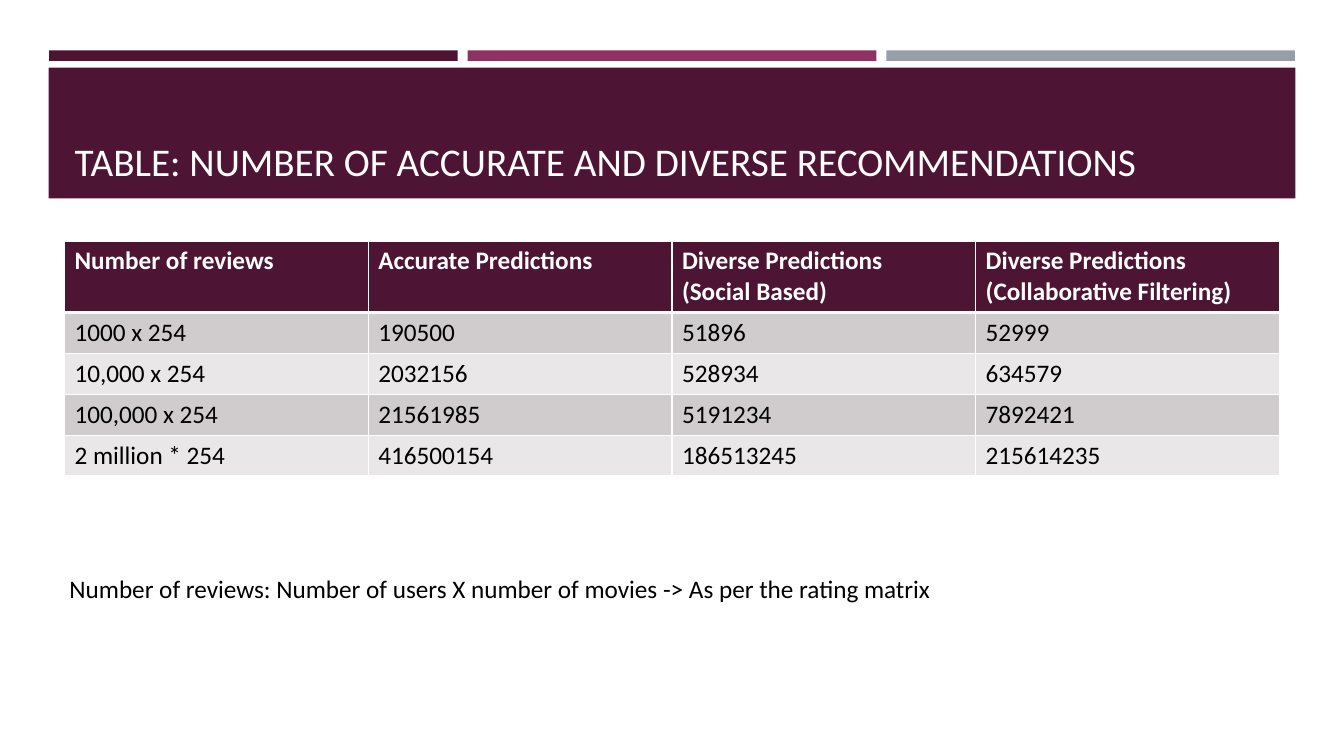
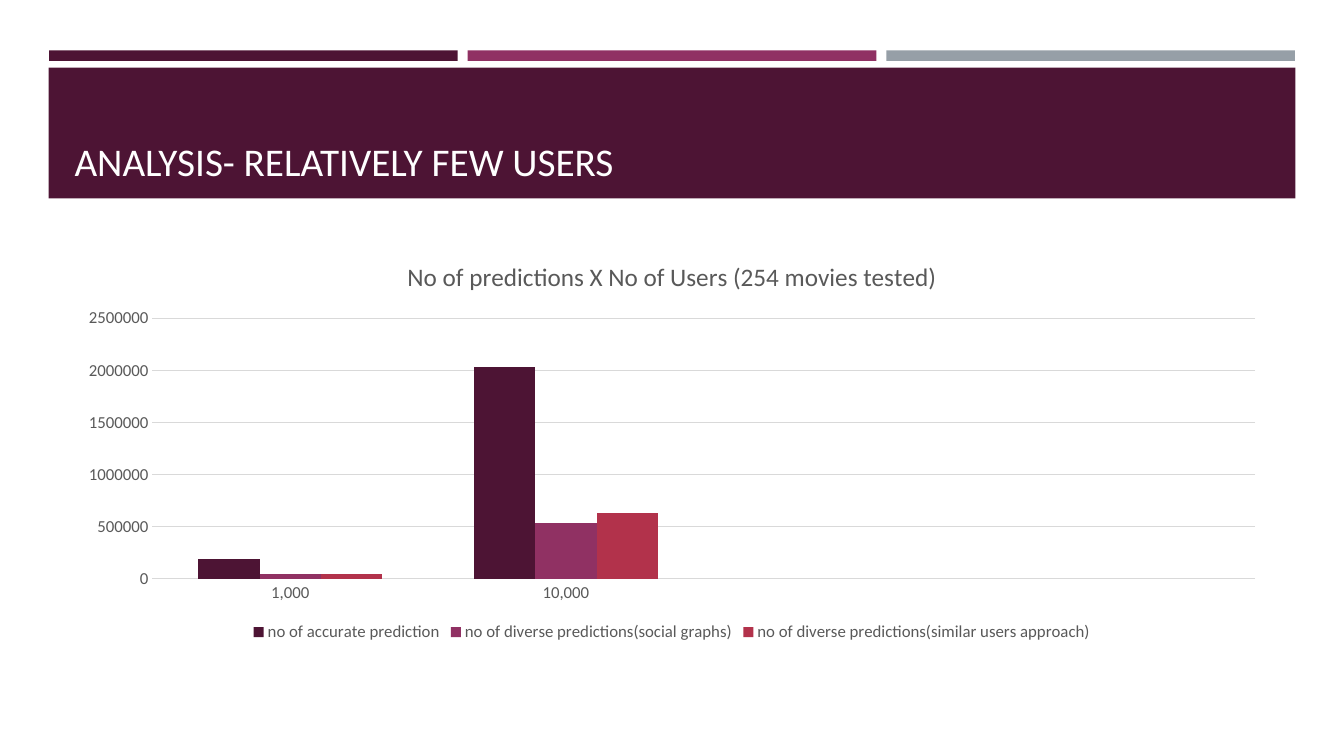
from dataclasses import dataclass

from lxml import etree
from pptx import Presentation
from pptx.chart.data import CategoryChartData
from pptx.dml.color import RGBColor
from pptx.enum.chart import XL_CHART_TYPE, XL_LEGEND_POSITION, XL_TICK_MARK
from pptx.enum.shapes import MSO_SHAPE
from pptx.enum.text import MSO_ANCHOR, MSO_AUTO_SIZE, PP_ALIGN
from pptx.oxml.ns import qn
from pptx.util import Inches, Pt

RECTANGLE = MSO_SHAPE.RECTANGLE
CLUSTERED = XL_CHART_TYPE.COLUMN_CLUSTERED
LEGEND_BOTTOM = XL_LEGEND_POSITION.BOTTOM
NO_TICKS = XL_TICK_MARK.NONE
ANCHOR_BOTTOM = MSO_ANCHOR.BOTTOM
NO_AUTO_SIZE = MSO_AUTO_SIZE.NONE
ALIGN_LEFT = PP_ALIGN.LEFT

SLIDE_WIDTH, SLIDE_HEIGHT = Inches(13.33), Inches(7.5)
TITLE_ONLY = 5

COLORS = {
    "plum": "4D1434",
    "magenta": "903163",
    "red": "B2324B",
    "slate": "969FA7",
    "white": "FFFFFF",
    "black": "000000",
    "chart text": "595959",
    "chart line": "D9D9D9",
    "dark row": "D0CCCE",
    "light row": "E9E7E8",
}


@dataclass(frozen=True)
class Box:
    """A rectangle in percent of the slide's width and height."""
    left: float
    top: float
    width: float
    height: float

    def emu(self) -> tuple[int, int, int, int]:
        return (int(SLIDE_WIDTH * self.left / 100), int(SLIDE_HEIGHT * self.top / 100),
                int(SLIDE_WIDTH * self.width / 100), int(SLIDE_HEIGHT * self.height / 100))


@dataclass(frozen=True)
class TextStyle:
    size: float
    color: str
    bold: bool = False


@dataclass(frozen=True)
class Series:
    name: str
    values: tuple
    color: str


# Shared grid: three strips above a title band, content below
STRIP_COLORS = ("plum", "magenta", "slate")
STRIP_LEFT, STRIP_WIDTH, STRIP_GAP = 3.65, 30.4, 0.75
STRIP_TOP, STRIP_HEIGHT = 6.67, 1.4
BAND_BOX = Box(3.62, 8.93, 92.76, 17.33)
TITLE_BOX = Box(4.8, 10.27, 90.4, 14.8)
TABLE_BOX = Box(4.8, 31.87, 90.4, 30.8)
CHART_BOX = Box(4.8, 31.87, 90.4, 53.6)
NOTE_BOX = Box(4.43, 75.2, 67.6, 5.33)

TITLE_STYLE = TextStyle(28, "white")
HEADER_STYLE = TextStyle(18, "white", True)
BODY_STYLE = TextStyle(18, "black")
CHART_TITLE_STYLE = TextStyle(18, "chart text")
CHART_LABEL_STYLE = TextStyle(12, "chart text")

# Slide content
TABLE_TITLE = "TABLE: NUMBER OF ACCURATE AND DIVERSE RECOMMENDATIONS"
TABLE_ROWS = (
    ("Number of reviews", "Accurate Predictions",
     "Diverse Predictions\n(Social Based)", "Diverse Predictions\n(Collaborative Filtering)"),
    ("1000 x 254", "190500", "51896", "52999"),
    ("10,000 x 254", "2032156", "528934", "634579"),
    ("100,000 x 254", "21561985", "5191234", "7892421"),
    ("2 million * 254", "416500154", "186513245", "215614235"),
)
HEADER_HEIGHT, ROW_HEIGHT = 9.33, 5.4
NOTE = "Number of reviews: Number of users X number of movies -> As per the rating matrix"

ANALYSIS_TITLE = "ANALYSIS- RELATIVELY FEW USERS"
CHART_TITLE = "No of predictions X No of Users (254 movies tested)"
CATEGORIES = ("1,000", "10,000", "", "")
SERIES = (
    Series("no of accurate prediction", (190000, 2030000, None, None), "plum"),
    Series("no of diverse predictions(social graphs)", (50000, 530000, None, None), "magenta"),
    Series("no of diverse predictions(similar users approach)", (50000, 630000, None, None), "red"),
)


def rgb(name: str) -> RGBColor:
    return RGBColor.from_string(COLORS[name])


def fill_solid(fill, color: str) -> None:
    fill.solid()
    fill.fore_color.rgb = rgb(color)


def format_font(font, style: TextStyle) -> None:
    values = {"name": "Calibri", "size": Pt(style.size), "bold": style.bold}
    for attribute, value in values.items():
        setattr(font, attribute, value)
    font.color.rgb = rgb(style.color)


def write_text(text_frame, text: str, style: TextStyle) -> None:
    text_frame.text = text
    for paragraph in text_frame.paragraphs:
        paragraph.alignment = ALIGN_LEFT
        for run in paragraph.runs:
            format_font(run.font, style)


# Shared parts
def add_layout_bands(slide) -> None:
    """Draw the strips and title band, then hand them to the layout."""
    bands = [
        (Box(STRIP_LEFT + index * (STRIP_WIDTH + STRIP_GAP), STRIP_TOP,
             STRIP_WIDTH, STRIP_HEIGHT), color)
        for index, color in enumerate(STRIP_COLORS)
    ]
    bands.append((BAND_BOX, "plum"))
    layout_tree = slide.slide_layout.shapes.element
    for box, color in bands:
        shape = slide.shapes.add_shape(RECTANGLE, *box.emu())
        shape.shadow.inherit = False
        fill_solid(shape.fill, color)
        shape.line.fill.background()
        layout_tree.insert(2, shape.element)


def add_titled_slide(presentation, title: str):
    slide = presentation.slides.add_slide(presentation.slide_layouts[TITLE_ONLY])
    placeholder = slide.shapes.title
    for attribute, value in zip(("left", "top", "width", "height"), TITLE_BOX.emu()):
        setattr(placeholder, attribute, value)
    text_frame = placeholder.text_frame
    frame_format = {"vertical_anchor": ANCHOR_BOTTOM, "word_wrap": True,
                    "auto_size": NO_AUTO_SIZE}
    for attribute, value in frame_format.items():
        setattr(text_frame, attribute, value)
    write_text(text_frame, title, TITLE_STYLE)
    return slide


# Table
def add_cell_borders(cell, top: float, bottom: float) -> None:
    properties = cell._tc.get_or_add_tcPr()
    for side, points in {"L": 1, "R": 1, "T": top, "B": bottom}.items():
        line = etree.SubElement(properties, qn(f"a:ln{side}"), w=str(Pt(points)))
        solid = etree.SubElement(line, qn("a:solidFill"))
        etree.SubElement(solid, qn("a:srgbClr"), val=COLORS["white"])


def add_predictions_table(slide) -> None:
    table = slide.shapes.add_table(len(TABLE_ROWS), len(TABLE_ROWS[0]), *TABLE_BOX.emu()).table
    for row_index, texts in enumerate(TABLE_ROWS):
        is_header = row_index == 0
        height = HEADER_HEIGHT if is_header else ROW_HEIGHT
        table.rows[row_index].height = int(SLIDE_HEIGHT * height / 100)
        row_color = "plum" if is_header else ("light row", "dark row")[row_index % 2]
        for column_index, text in enumerate(texts):
            cell = table.cell(row_index, column_index)
            write_text(cell.text_frame, text, HEADER_STYLE if is_header else BODY_STYLE)
            add_cell_borders(cell, top=3 if row_index == 1 else 1, bottom=3 if is_header else 1)
            fill_solid(cell.fill, row_color)


def add_note(slide) -> None:
    text_frame = slide.shapes.add_textbox(*NOTE_BOX.emu()).text_frame
    text_frame.word_wrap = True
    write_text(text_frame, NOTE, BODY_STYLE)


# Chart
def format_line(line) -> None:
    line.color.rgb = rgb("chart line")
    line.width = Pt(0.75)


def add_predictions_chart(slide) -> None:
    data = CategoryChartData()
    data.categories = CATEGORIES
    for series in SERIES:
        data.add_series(series.name, series.values)
    chart = slide.shapes.add_chart(CLUSTERED, *CHART_BOX.emu(), data).chart
    format_font(chart.font, CHART_LABEL_STYLE)

    chart.has_title = True
    write_text(chart.chart_title.text_frame, CHART_TITLE, CHART_TITLE_STYLE)
    chart.chart_title.include_in_layout = False
    chart.has_legend = True
    chart.legend.position = LEGEND_BOTTOM
    chart.legend.include_in_layout = False
    format_font(chart.legend.font, CHART_LABEL_STYLE)

    for axis in (chart.category_axis, chart.value_axis):
        axis.major_tick_mark = axis.minor_tick_mark = NO_TICKS
        format_font(axis.tick_labels.font, CHART_LABEL_STYLE)
    format_line(chart.category_axis.format.line)
    chart.value_axis.format.line.fill.background()
    format_line(chart.value_axis.major_gridlines.format.line)

    plot = chart.plots[0]
    for attribute, value in {"gap_width": 150, "overlap": 0, "vary_by_categories": False}.items():
        setattr(plot, attribute, value)
    for drawn, series in zip(plot.series, SERIES):
        fill_solid(drawn.format.fill, series.color)


def main() -> None:
    presentation = Presentation()
    presentation.slide_width, presentation.slide_height = SLIDE_WIDTH, SLIDE_HEIGHT

    table_slide = add_titled_slide(presentation, TABLE_TITLE)
    add_layout_bands(table_slide)
    add_predictions_table(table_slide)
    add_note(table_slide)

    analysis_slide = add_titled_slide(presentation, ANALYSIS_TITLE)
    add_predictions_chart(analysis_slide)

    presentation.save("out.pptx")


if __name__ == "__main__":
    main()
